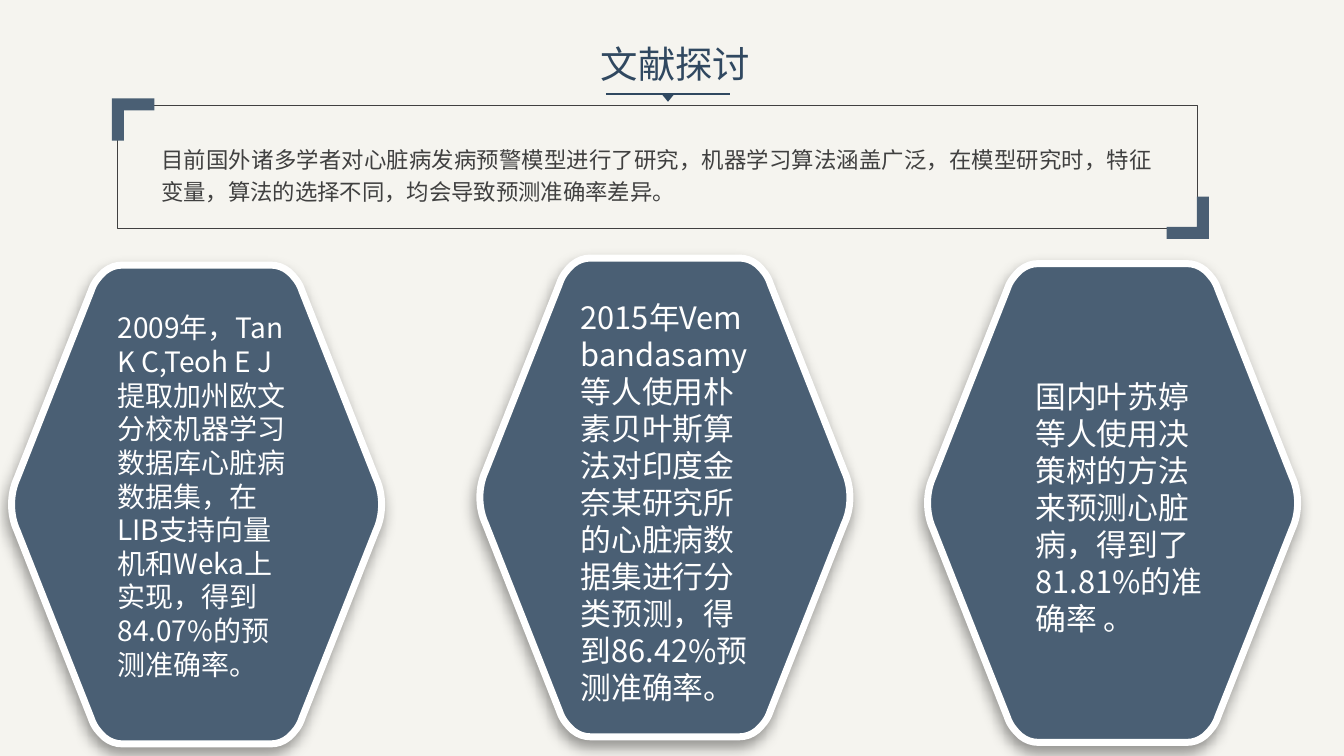
from dataclasses import dataclass

from lxml import etree
from pptx import Presentation
from pptx.dml.color import RGBColor
from pptx.enum.shapes import MSO_CONNECTOR, MSO_SHAPE
from pptx.enum.text import MSO_AUTO_SIZE, PP_ALIGN
from pptx.oxml.ns import qn
from pptx.shapes.autoshape import Shape
from pptx.slide import Slide
from pptx.util import Emu, Inches, Pt

Spot = tuple[float, float]

LINE = MSO_CONNECTOR.STRAIGHT
ROUND = MSO_SHAPE.ROUNDED_RECTANGLE
WEDGE = MSO_SHAPE.ISOSCELES_TRIANGLE
GROW = MSO_AUTO_SIZE.SHAPE_TO_FIT_TEXT
LEFT, FULL = PP_ALIGN.LEFT, PP_ALIGN.JUSTIFY

CREAM = RGBColor(0xF5, 0xF4, 0xEF)
NAVY = RGBColor(0x30, 0x48, 0x60)
SLATE = RGBColor(0x4A, 0x5F, 0x74)
GRAY = RGBColor(0x40, 0x40, 0x40)
WHITE = RGBColor(0xFF, 0xFF, 0xFF)

FONT = "Noto Sans CJK SC"
COLS, ROWS = 133.3, 75
WIDE, HIGH = Inches(13.33), Inches(7.5)


@dataclass
class Box:
    col: float
    row: float
    cols: float
    rows: float


@dataclass
class Note:
    box: Box
    text: str
    size: float
    color: RGBColor
    align: PP_ALIGN = LEFT
    space: float = 1.0
    inset: float = 0
    wrap: bool = True


@dataclass
class Card:
    mid: Spot
    note: Note


@dataclass
class Hook:
    col: float
    row: float
    turn: int


def across(col: float) -> Emu:
    return Emu(round(WIDE * col / COLS))


def down(row: float) -> Emu:
    return Emu(round(HIGH * row / ROWS))


def place(box: Box) -> tuple[Emu, Emu, Emu, Emu]:
    return across(box.col), down(box.row), across(box.cols), down(box.rows)


def ring() -> list[Spot]:
    half = ARC + [(x, -y) for x, y in ARC[-2::-1]]
    return half + [(-x, -y) for x, y in half]


def trace(slide: Slide, spots: list[Spot]) -> Shape:
    ends = [(across(x), down(y)) for x, y in spots]
    pen = slide.shapes.build_freeform(*ends[0])
    pen.add_line_segments(ends[1:], close=True)
    shape = pen.convert_to_shape()
    shape.shadow.inherit = False
    shape.fill.solid()
    shape.fill.fore_color.rgb = SLATE
    shape.line.fill.background()
    return shape


def bend(shape: Shape) -> None:
    legs = list(shape._element.iter(qn("a:lnTo")))
    for start in range(0, len(legs), 7):
        for first in (start, start + 3):
            curve = etree.Element(qn("a:cubicBezTo"))
            legs[first].addprevious(curve)
            for leg in legs[first:first + 3]:
                curve.append(leg[0])
                leg.getparent().remove(leg)


def write(slide: Slide, note: Note) -> None:
    frame = slide.shapes.add_textbox(*place(note.box)).text_frame
    frame.word_wrap = note.wrap
    frame.auto_size = GROW
    frame.margin_left = frame.margin_right = across(note.inset)
    frame.margin_top = frame.margin_bottom = down(note.inset / 2)
    para = frame.paragraphs[0]
    para.alignment = note.align
    para.line_spacing = note.space
    run = para.add_run()
    run.text = note.text
    run.font.size = Pt(note.size)
    run.font.name = FONT
    run.font.color.rgb = note.color
    east = etree.SubElement(run.font._element, qn("a:ea"))
    east.set("typeface", FONT)


def shade(shape: Shape) -> None:
    glow = etree.SubElement(
        shape._element.spPr.find(qn("a:effectLst")), qn("a:outerShdw"),
        blurRad=str(Pt(10)), dist=str(Pt(5)), dir=str(110 * 60000),
        algn="t", rotWithShape="0")
    tint = etree.SubElement(glow, qn("a:srgbClr"), val="000000")
    etree.SubElement(tint, qn("a:alpha"), val="40000")


def head(slide: Slide) -> None:
    rule = slide.shapes.add_connector(
        LINE, across(60.1), down(9.3), across(72.4), down(9.3))
    rule.line.color.rgb = NAVY
    rule.line.width = Pt(1.5)
    etree.SubElement(rule._element.spPr, qn("a:effectLst"))
    wedge = slide.shapes.add_shape(WEDGE, *place(Box(65.6, 9.3, 1.3, 0.8)))
    wedge.shadow.inherit = False
    wedge.rotation = 180
    wedge.fill.solid()
    wedge.fill.fore_color.rgb = NAVY
    wedge.line.fill.background()
    write(slide, TITLE)


def panel(slide: Slide) -> None:
    frame = slide.shapes.add_shape(ROUND, *place(Box(11.65, 10.4, 107.1, 12.2)))
    frame.adjustments[0] = 0
    frame.shadow.inherit = False
    frame.fill.background()
    frame.line.color.rgb = GRAY
    frame.line.width = Pt(0.25)
    write(slide, INTRO)
    for hook in HOOKS:
        spots = [(hook.col + x, hook.row + y) for x, y in ANGLE]
        trace(slide, spots).rotation = hook.turn


def plate(slide: Slide, card: Card) -> None:
    col, row = card.mid
    shape = trace(slide, [(col + x, row + y) for x, y in ring()])
    bend(shape)
    shape.line.color.rgb = WHITE
    shape.line.width = Pt(5)
    shade(shape)
    write(slide, card.note)


ARC = [(7.35, -23.75), (8, -23.75), (8.6, -23.55), (9.15, -23.1),
       (9.7, -22.6), (10.2, -22), (10.45, -21.2), (17.8, -2.6),
       (18.15, -1.85), (18.35, -0.95), (18.35, 0)]
ANGLE = [(0, 0), (4.2, 0), (4.2, 1.2), (1.2, 1.2), (1.2, 4.2), (0, 4.2)]
HOOKS = [Hook(11.1, 9.75, 0), Hook(115.7, 19.5, 180)]
TITLE = Note(Box(58.6, 3.6, 17, 5.5), "文献探讨", 26.7, NAVY,
             inset=1, wrap=False)
INTRO = Note(
    Box(16, 13.95, 98.4, 6.2),
    "目前国外诸多学者对心脏病发病预警模型进行了研究，机器学习算法涵盖广泛，"
    "在模型研究时，特征变量，算法的选择不同，均会导致预测准确率差异。",
    16, GRAY, FULL, 1.2)
CARDS = [
    Card((19.5, 50.05), Note(
        Box(11.65, 30.85, 17.2, 37),
        "2009年，Tan K C,Teoh E J提取加州欧文分校机器学习数据库心脏病数据集，"
        "在LIB支持向量机和Weka上实现，得到84.07%的预测准确率。", 20, WHITE)),
    Card((65.95, 49.35), Note(
        Box(57.6, 29.65, 18.2, 40.7),
        "2015年Vem bandasamy等人使用朴素贝叶斯算法对印度金奈某研究所的"
        "心脏病数据集进行分类预测，得到86.42%预测准确率。", 22, WHITE)),
    Card((110.35, 49.9), Note(
        Box(102.7, 37.5, 17.2, 25.9),
        "国内叶苏婷等人使用决策树的方法来预测心脏病，"
        "得到了81.81%的准确率 。", 22, WHITE)),
]


def main() -> None:
    deck = Presentation()
    deck.slide_width, deck.slide_height = WIDE, HIGH
    slide = deck.slides.add_slide(deck.slide_layouts[6])
    slide.background.fill.solid()
    slide.background.fill.fore_color.rgb = CREAM
    head(slide)
    panel(slide)
    for card in CARDS:
        plate(slide, card)
    deck.save("out.pptx")


if __name__ == "__main__":
    main()
